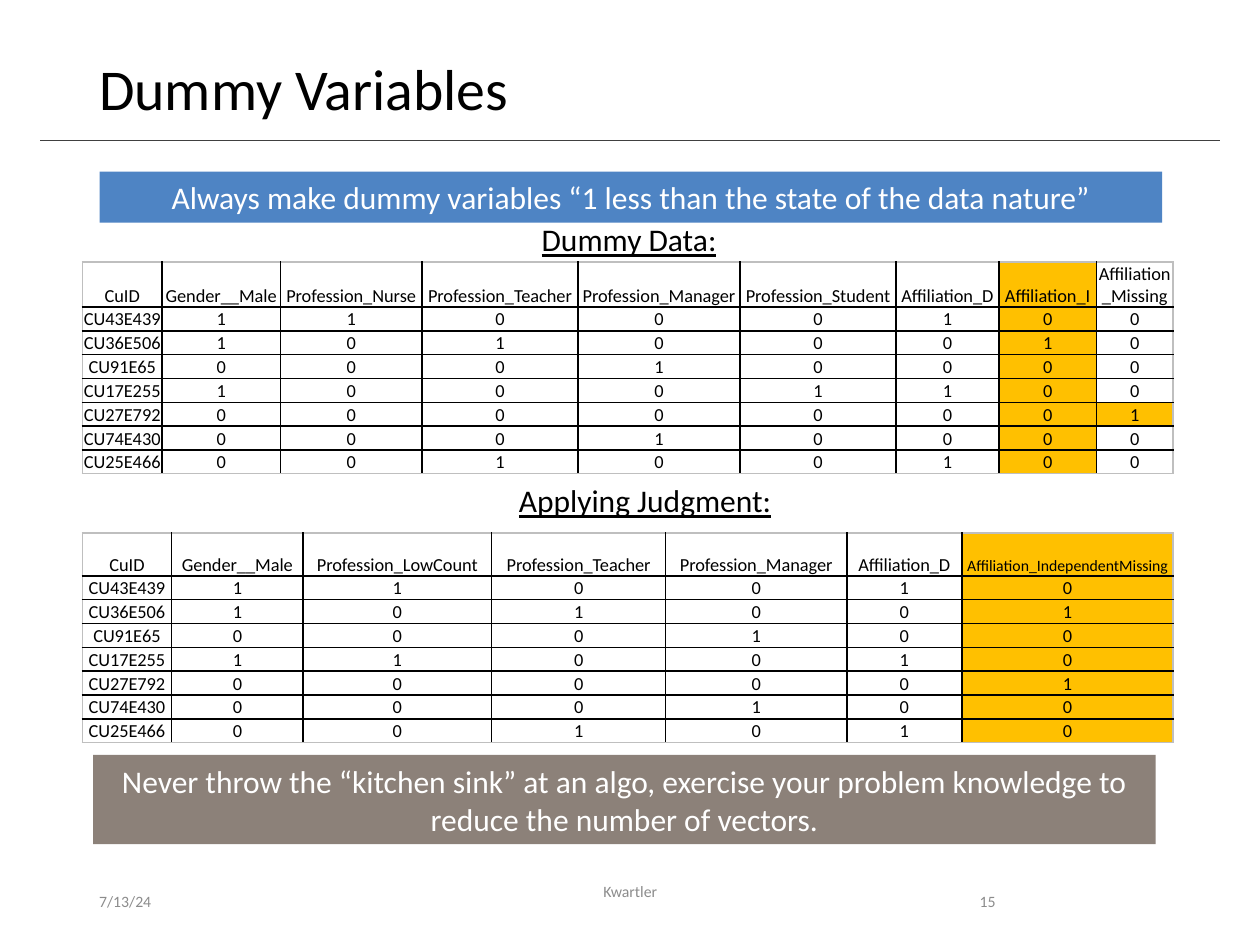
from lxml import etree
from pptx import Presentation
from pptx.dml.color import RGBColor
from pptx.enum.shapes import MSO_CONNECTOR, MSO_SHAPE
from pptx.enum.text import MSO_ANCHOR, PP_ALIGN
from pptx.oxml.ns import qn
from pptx.util import Cm, Pt

LEFT, CENTER, RIGHT = PP_ALIGN.LEFT, PP_ALIGN.CENTER, PP_ALIGN.RIGHT
TOP, MIDDLE, BOTTOM = MSO_ANCHOR.TOP, MSO_ANCHOR.MIDDLE, MSO_ANCHOR.BOTTOM
RECTANGLE, STRAIGHT = MSO_SHAPE.RECTANGLE, MSO_CONNECTOR.STRAIGHT

FONT = "Calibri"
BLACK, WHITE, GRAY = "000000", "FFFFFF", "8C8C8C"
BLUE, TAUPE, AMBER = "4E84C4", "8C8179", "FFC000"
RULE, TABLE_EDGE = "404040", "BFBFBF"
HEADER_HEIGHT, ROW_HEIGHT = 0.87, 0.48

DUMMY_HEADER = ["CuID", "Gender__Male", "Profession_Nurse", "Profession_Teacher",
                "Profession_Manager", "Profession_Student", "Affiliation_D",
                "Affiliation_I", "Affiliation_Missing"]
DUMMY_ROWS = [
    "CU43E439 1 1 0 0 0 1 0 0",
    "CU36E506 1 0 1 0 0 0 1 0",
    "CU91E65 0 0 0 1 0 0 0 0",
    "CU17E255 1 0 0 0 1 1 0 0",
    "CU27E792 0 0 0 0 0 0 0 1",
    "CU74E430 0 0 0 1 0 0 0 0",
    "CU25E466 0 0 1 0 0 1 0 0",
]
DUMMY_WIDTHS = [1.61, 2.38, 2.86, 3.14, 3.27, 3.14, 2.08, 1.96, 1.55]

JUDGMENT_HEADER = ["CuID", "Gender__Male", "Profession_LowCount", "Profession_Teacher",
                   "Profession_Manager", "Affiliation_D", "Affiliation_IndependentMissing"]
JUDGMENT_ROWS = [
    "CU43E439 1 1 0 0 1 0",
    "CU36E506 1 0 1 0 0 1",
    "CU91E65 0 0 0 1 0 0",
    "CU17E255 1 1 0 0 1 0",
    "CU27E792 0 0 0 0 0 1",
    "CU74E430 0 0 0 1 0 0",
    "CU25E466 0 0 1 0 1 0",
]
JUDGMENT_WIDTHS = [1.8, 2.65, 3.8, 3.51, 3.65, 2.32, 4.26]


def color(value):
    """Turn a hex string into a colour."""
    return RGBColor.from_string(value)


def write(text_frame, text, size, ink, alignment=LEFT):
    """Fill a text frame with one styled paragraph and return the paragraph."""
    paragraph = text_frame.paragraphs[0]
    paragraph.text = text
    paragraph.alignment = alignment
    paragraph.font.name = FONT
    paragraph.font.size = Pt(size)
    paragraph.font.color.rgb = color(ink)
    return paragraph


def add_text(slide, box, text, size, ink, alignment=LEFT, anchor=TOP, wrap=True):
    """Add a text box and return its paragraph."""
    text_frame = slide.shapes.add_textbox(*map(Cm, box)).text_frame
    text_frame.word_wrap = wrap
    text_frame.vertical_anchor = anchor
    return write(text_frame, text, size, ink, alignment)


def add_heading(slide, box, text):
    """Add an underlined table heading."""
    add_text(slide, box, text, 18, BLACK, wrap=False).font.underline = True


def add_banner(slide, box, text, fill):
    """Add a filled rectangle with centred white text."""
    shape = slide.shapes.add_shape(RECTANGLE, *map(Cm, box))
    shape.shadow.inherit = False
    shape.fill.solid()
    shape.fill.fore_color.rgb = color(fill)
    shape.line.fill.background()
    shape.text_frame.word_wrap = True
    shape.text_frame.vertical_anchor = MIDDLE
    write(shape.text_frame, text, 18, WHITE, CENTER)


def add_rule(slide, left, right, top):
    """Add the thin horizontal line below the title."""
    connector = slide.shapes.add_connector(STRAIGHT, Cm(left), Cm(top), Cm(right), Cm(top))
    connector.line.color.rgb = color(RULE)
    connector.line.width = Pt(0.5)
    etree.SubElement(connector._element.spPr, qn("a:effectLst"))


def set_borders(cell, edges):
    """Draw the four borders of a cell, lighter on the sides named as edges."""
    properties = cell._tc.get_or_add_tcPr()
    for side in "LRTB":
        line = etree.SubElement(properties, qn(f"a:ln{side}"), w=str(Pt(1)))
        fill = etree.SubElement(line, qn("a:solidFill"))
        etree.SubElement(fill, qn("a:srgbClr"), val=TABLE_EDGE if side in edges else BLACK)


def style_cell(cell, text, size, edges, highlighted):
    """Set the text, margins, borders and fill of a cell."""
    cell.margin_left = cell.margin_right = cell.margin_top = Cm(0.02)
    cell.margin_bottom = Cm(0)
    cell.vertical_anchor = BOTTOM
    write(cell.text_frame, text, size, BLACK, CENTER)
    set_borders(cell, edges)
    if highlighted:
        cell.fill.solid()
        cell.fill.fore_color.rgb = color(AMBER)
    else:
        cell.fill.background()


def add_data_table(slide, left, top, widths, header, rows, is_highlighted, small=()):
    """Add a bordered table, with the headers listed in small set smaller."""
    records = [header] + [row.split() for row in rows]
    heights = [HEADER_HEIGHT] + [ROW_HEIGHT] * len(rows)
    frame = slide.shapes.add_table(len(records), len(header), Cm(left), Cm(top),
                                   Cm(sum(widths)), Cm(sum(heights)))
    table = frame.table
    table.first_row = table.horz_banding = False
    for column, width in zip(table.columns, widths):
        column.width = Cm(width)
    for row, height in zip(table.rows, heights):
        row.height = Cm(height)
    last_row, last_column = len(records) - 1, len(header) - 1
    for i, record in enumerate(records):
        for j, text in enumerate(record):
            sides = {"L": j == 0, "R": j == last_column, "T": i == 0, "B": i == last_row}
            edges = [side for side, outer in sides.items() if outer]
            size = 9 if text in small else 10.5
            style_cell(table.cell(i, j), text, size, edges, is_highlighted(i, j))


def main():
    """Build the slide and save it."""
    presentation = Presentation()
    presentation.slide_width, presentation.slide_height = Cm(25.4), Cm(19.05)
    slide = presentation.slides.add_slide(presentation.slide_layouts[6])

    add_rule(slide, 0.81, 24.59, 2.84)
    title = add_text(slide, (1.75, 1.02, 21.9, 1.65), "Dummy Variables", 33, BLACK, anchor=MIDDLE)
    title.line_spacing = 0.9
    add_banner(slide, (2.01, 3.46, 21.42, 1.03),
               "Always make dummy variables “1 less than the state of the data nature”", BLUE)

    add_heading(slide, (10.67, 4.32, 4.09, 1.03), "Dummy Data:")
    add_data_table(slide, 1.66, 5.28, DUMMY_WIDTHS, DUMMY_HEADER, DUMMY_ROWS,
                   lambda i, j: j == 7 or (i, j) == (5, 8))

    add_heading(slide, (10.21, 9.58, 5.82, 1.03), "Applying Judgment:")
    add_data_table(slide, 1.66, 10.74, JUDGMENT_WIDTHS, JUDGMENT_HEADER, JUDGMENT_ROWS,
                   lambda i, j: j == 6, small=JUDGMENT_HEADER[-1:])

    add_banner(slide, (1.88, 15.22, 21.42, 1.8),
               "Never throw the “kitchen sink” at an algo, exercise your problem knowledge to "
               "reduce the number of vectors.", TAUPE)

    add_text(slide, (1.75, 17.65, 5.72, 1.02), "7/13/24", 9, GRAY, anchor=MIDDLE)
    add_text(slide, (8.41, 17.65, 8.59, 1.02), "Kwartler", 9, GRAY, CENTER)
    add_text(slide, (17.93, 17.65, 2.39, 1.02), "15", 9, GRAY, RIGHT, MIDDLE)
    presentation.save("out.pptx")


if __name__ == "__main__":
    main()
